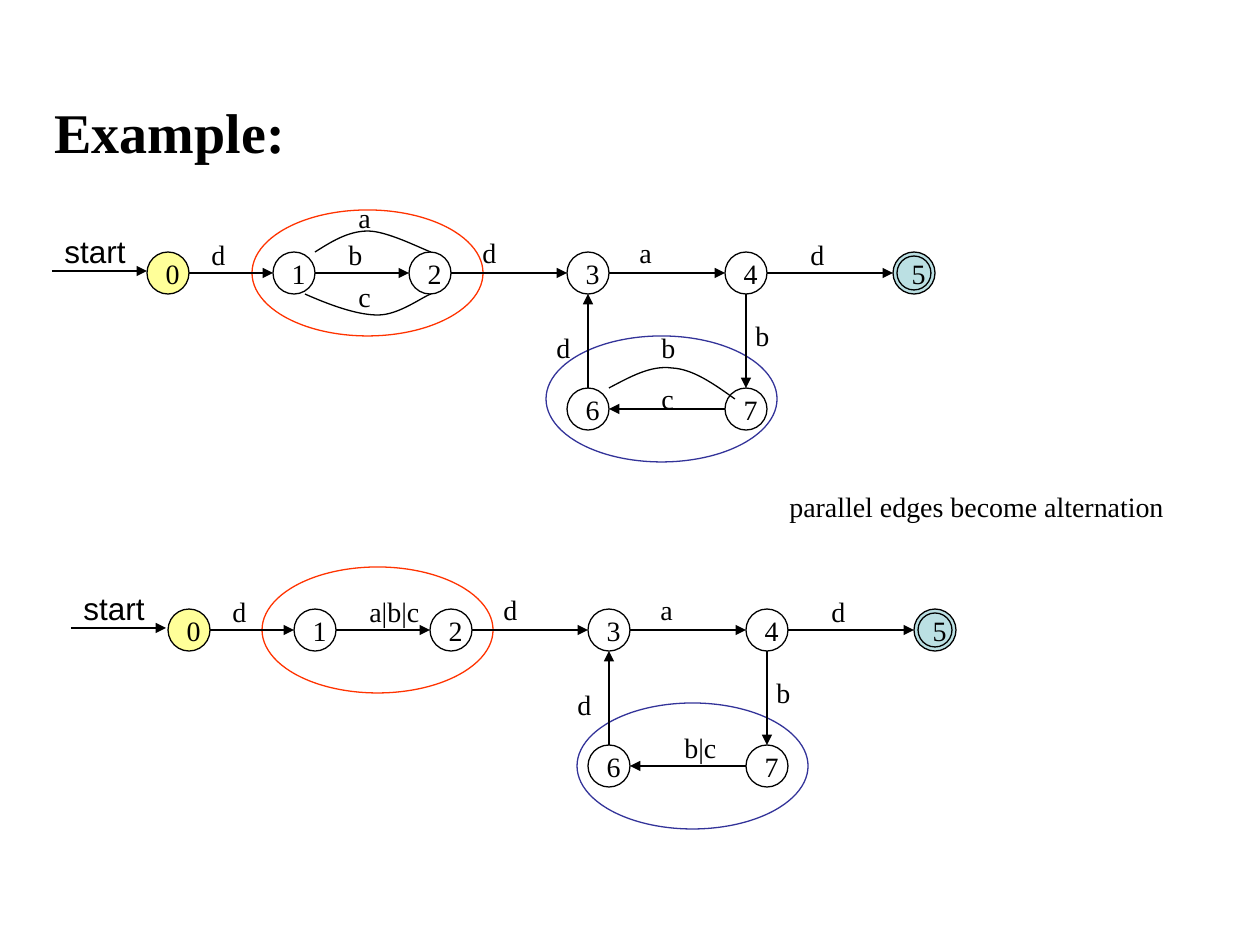
from lxml.etree import SubElement
from pptx import Presentation
from pptx.dml.color import RGBColor
from pptx.enum.shapes import MSO_CONNECTOR as LINE, MSO_SHAPE as SHAPE
from pptx.enum.text import MSO_ANCHOR as ANCHOR, PP_ALIGN as ALIGN
from pptx.oxml.ns import qn
from pptx.util import Emu, Pt

SERIF, SANS = "Times New Roman", "Arial"
BLACK, RED, BLUE = "000000", "FF3300", "333399"
YELLOW, TEAL = "FFFF99", "BBE0E3"
NODE = 42
OVAL_SIZE = (231, 126)

# Parts shared by both automata, relative to the corner of node 0
NODES = {"0": (0, 0), "1": (126, 0), "2": (262, 0), "3": (420, 0),
         "4": (578, 0), "5": (746, 0), "6": (420, 136), "7": (578, 136)}
NODE_FILLS = {"0": YELLOW, "5": TEAL}
EDGES = ["01", "12", "23", "34", "45", "63", "47", "76"]
EDGE_LABELS = [("d", 52, -21), ("d", 323, -23), ("a", 480, -23),
               ("d", 651, -21), ("d", 397, 72), ("b", 596, 60)]

# Parallel edges: each is a start point and two cubic segments
PARALLEL_EDGES = [
    [(168, 0), (184, -10), (201, -21), (221, -21), (240, -21), (273, -4), (284, 0)],
    [(158, 42), (183, 53), (210, 63), (231, 63), (252, 63), (275, 45), (284, 42)],
    [(588, 147), (567, 132), (546, 117), (525, 116), (504, 113), (483, 125), (462, 136)],
]
PARALLEL_LABELS = [("a", 199, -58), ("b", 189, -21), ("c", 199, 21),
                   ("b", 502, 72), ("c", 502, 123)]
MERGED_LABELS = [("a|b|c", 189, -21), ("b|c", 504, 115)]
LABEL_WIDTHS = {"a|b|c": 76, "b|c": 58}


def px(length):
    return Emu(round(length * 914400 / 126))


def color(value):
    return RGBColor.from_string(value)


def write(para, text, size=16, font=SERIF, bold=False):
    span = para.add_run()
    span.text = text
    span.font.size, span.font.name, span.font.bold = Pt(size), font, bold
    span.font.color.rgb = color(BLACK)


def style(shape, line, fill=None):
    shape.shadow.inherit = False
    shape.line.color.rgb = color(line)
    shape.line.width = Pt(0.75)
    if fill:
        shape.fill.solid()
        shape.fill.fore_color.rgb = color(fill)
    else:
        shape.fill.background()


def add_ellipse(page, left, top, width, height, line=BLACK, fill=None):
    oval = page.shapes.add_shape(SHAPE.OVAL, px(left), px(top), px(width), px(height))
    style(oval, line, fill)
    return oval


def add_label(page, text, left, top, width=39, height=47, size=16, font=SERIF):
    box = page.shapes.add_textbox(px(left), px(top), px(width), px(height))
    box.text_frame.word_wrap = False
    write(box.text_frame.paragraphs[0], text, size, font)


def add_arrow(page, x1, y1, x2, y2):
    arrow = page.shapes.add_connector(LINE.STRAIGHT, px(x1), px(y1), px(x2), px(y2))
    arrow.line.color.rgb = color(BLACK)
    arrow.line.width = Pt(0.75)
    SubElement(arrow.line._get_or_add_ln(), qn("a:tailEnd"), type="triangle")
    SubElement(arrow._element.spPr, qn("a:effectLst"))


def add_curve(page, left, top, points):
    builder = page.shapes.build_freeform(*points[0], scale=float(px(1)))
    builder.add_line_segments(points[1:], close=False)
    curve = builder.convert_to_shape(px(left), px(top))
    # Turn each three straight segments into one cubic segment
    segments = curve._element.xpath(".//a:lnTo")
    outline = segments[0].getparent()
    for first in range(0, len(segments), 3):
        cubic = SubElement(outline, qn("a:cubicBezTo"))
        for segment in segments[first:first + 3]:
            cubic.append(segment[0])
            outline.remove(segment)
    style(curve, BLACK)


def add_node(page, name, left, top):
    node = add_ellipse(page, left, top, NODE, NODE, fill=NODE_FILLS.get(name))
    frame = node.text_frame
    frame.word_wrap = True
    frame.vertical_anchor = ANCHOR.MIDDLE
    frame.paragraphs[0].alignment = ALIGN.CENTER
    write(frame.paragraphs[0], name)


def add_edge(page, left, top, source, target):
    (x1, y1), (x2, y2) = NODES[source], NODES[target]
    half = NODE / 2
    step_x = half * ((x2 > x1) - (x2 < x1))
    step_y = half * ((y2 > y1) - (y2 < y1))
    add_arrow(page, left + x1 + half + step_x, top + y1 + half + step_y,
              left + x2 + half - step_x, top + y2 + half - step_y)


def add_automaton(page, left, top, start_x, red_at, blue_at, labels, curves=()):
    # Ovals around the edges that are merged
    for (x, y), line in ((red_at, RED), (blue_at, BLUE)):
        add_ellipse(page, left + x, top + y, *OVAL_SIZE, line=line)
    # States, with a second ring on the accepting one
    for name, (x, y) in NODES.items():
        add_node(page, name, left + x, top + y)
    x, y = NODES["5"]
    add_ellipse(page, left + x + 4, top + y + 4, NODE - 8, NODE - 8)
    # Transitions
    for source, target in EDGES:
        add_edge(page, left, top, source, target)
    for points in curves:
        add_curve(page, left, top, points)
    for text, x, y in EDGE_LABELS + labels:
        add_label(page, text, left + x, top + y, LABEL_WIDTHS.get(text, 39))
    # Entry arrow
    x = left + start_x
    add_arrow(page, x, top + 19, x + 95, top + 19)
    add_label(page, "start", x, top - 26, 87, 50, size=18, font=SANS)


def add_title(page, text, left, top, width, height):
    title = page.shapes.title
    title.left, title.top = px(left), px(top)
    title.width, title.height = px(width), px(height)
    title.text_frame.vertical_anchor = ANCHOR.MIDDLE
    para = title.text_frame.paragraphs[0]
    para.alignment = ALIGN.LEFT
    write(para, text, size=32, bold=True)


def main():
    deck = Presentation()
    deck.slide_width, deck.slide_height = px(1260), px(945)
    page = deck.slides.add_slide(deck.slide_layouts[5])
    add_title(page, "Example:", 42, 53, 1071, 157)
    add_automaton(page, 147, 252, -95, (105, -42), (399, 84),
                  PARALLEL_LABELS, PARALLEL_EDGES)
    add_label(page, "parallel edges become alternation", 777, 483, 402)
    add_automaton(page, 168, 609, -97, (94, -42), (409, 94), MERGED_LABELS)
    deck.save("out.pptx")


if __name__ == "__main__":
    main()
